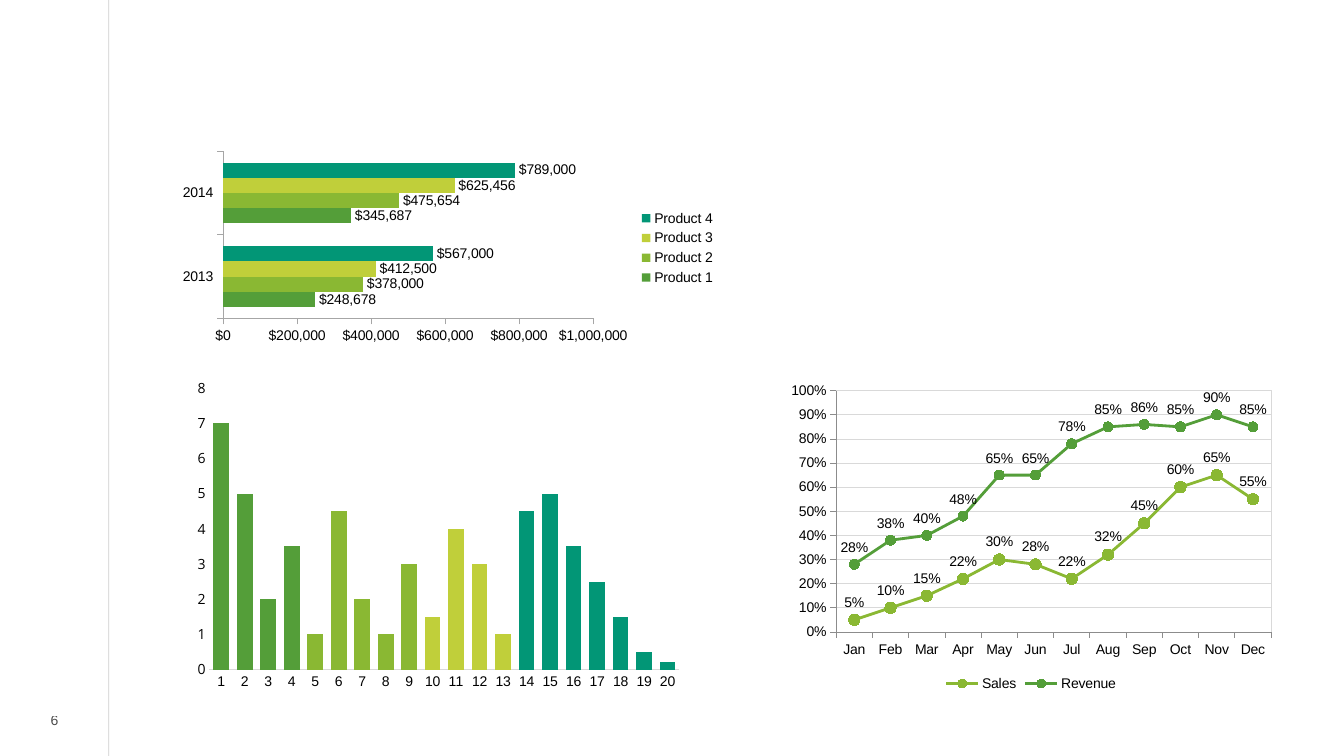
from lxml import etree
from pptx import Presentation
from pptx import util as u
from pptx.chart.data import CategoryChartData
from pptx.dml.color import RGBColor
from pptx.enum import chart as ch, shapes, text
from pptx.oxml import parse_xml
from pptx.oxml.ns import nsdecls, qn

GREEN, LEAF, LIME, TEAL = "549E39", "8AB833", "C0CF3A", "029676"
BLACK, PALE, GREY, DARK = "000000", "D9D9D9", "A6A6A6", "8C8C8C"
FONT, SIZE = "Arial", 10
PAGE_NUMBER = "6"

RANKING = {
    "kind": ch.XL_CHART_TYPE.COLUMN_CLUSTERED,
    "at": (135.36, 265.68, 357.12, 231.12),
    "plot": (0.04, 0.05, 0.94, 0.87),
    "categories": [str(n) for n in range(1, 21)],
    "series": [("Series 1", GREEN, [7, 5, 2, 3.5, 1, 4.5, 2, 1, 3, 1.5,
                                    4, 3, 1, 4.5, 5, 3.5, 2.5, 1.5, 0.5, 0.2])],
    "scale": (8, 1), "format": "General",
}
RANKING_GROUPS = [(GREEN, 4), (LEAF, 5), (LIME, 4), (TEAL, 7)]

PRODUCTS = {
    "kind": ch.XL_CHART_TYPE.BAR_CLUSTERED,
    "at": (123.84, 105.12, 394.56, 144),
    "plot": (0.09, 0.02, 0.67, 0.83),
    "categories": ["2013", "2014"],
    "series": [
        ("Product 1", GREEN, [248678, 345687]),
        ("Product 2", LEAF, [378000, 475654]),
        ("Product 3", LIME, [412500, 625456]),
        ("Product 4", TEAL, [567000, 789000]),
    ],
    "scale": (1000000, 200000), "format": '"$"#,##0',
}

MONTHLY = {
    "kind": ch.XL_CHART_TYPE.LINE_MARKERS,
    "at": (558, 270, 357.12, 226.8),
    "plot": (0.11, 0.04, 0.87, 0.76),
    "categories": ["Jan", "Feb", "Mar", "Apr", "May", "Jun",
                   "Jul", "Aug", "Sep", "Oct", "Nov", "Dec"],
    "series": [
        ("Sales", LEAF, [0.05, 0.1, 0.15, 0.22, 0.3, 0.28,
                         0.22, 0.32, 0.45, 0.6, 0.65, 0.55]),
        ("Revenue", GREEN, [0.28, 0.38, 0.4, 0.48, 0.65, 0.65,
                            0.78, 0.85, 0.86, 0.85, 0.9, 0.85]),
    ],
    "scale": (1, 0.1), "format": "0%",
}
MARKER_SIZES = [8, 7]


def paint(color_format, color, opacity=None):
    color_format.rgb = RGBColor.from_string(color)
    if opacity:
        # python-pptx has no public access to transparency
        srgb = color_format._xFill.find(qn("a:srgbClr"))
        etree.SubElement(srgb, qn("a:alpha"), val=str(opacity * 1000))


def fill(target, color):
    target.fill.solid()
    paint(target.fill.fore_color, color)


def stroke(line, color, width):
    line.fill.solid()
    paint(line.fill.fore_color, color)
    line.width = u.Pt(width)


def style_font(font, name=FONT):
    font.name, font.size = name, u.Pt(SIZE)
    paint(font.color, BLACK)


def place_plot(chart, plot):
    """Fix the inner plot area, given as shares of the chart frame."""
    area = chart.element.find(".//" + qn("c:plotArea"))
    for layout in area.findall(qn("c:layout")):
        area.remove(layout)
    sides = "".join(f'<c:{side} val="{share}"/>' for side, share in zip("xywh", plot))
    area.insert(0, parse_xml(
        f'<c:layout {nsdecls("c")}><c:manualLayout><c:layoutTarget val="inner"/>'
        f'<c:xMode val="edge"/><c:yMode val="edge"/>{sides}</c:manualLayout></c:layout>'))
    return area


def add_chart(slide, content):
    data = CategoryChartData(number_format=content["format"])
    data.categories = content["categories"]
    for name, _, values in content["series"]:
        data.add_series(name, values)
    box = [u.Pt(length) for length in content["at"]]
    chart = slide.shapes.add_chart(content["kind"], *box, data).chart
    chart.has_title = chart.has_legend = False
    style_font(chart.font)
    place_plot(chart, content["plot"])
    chart.plots[0].vary_by_categories = False
    value_axis = chart.value_axis
    value_axis.minimum_scale = 0
    value_axis.maximum_scale, value_axis.major_unit = content["scale"]
    value_axis.has_major_gridlines = False
    value_axis.tick_labels.number_format = content["format"]
    value_axis.tick_labels.number_format_is_linked = False
    for axis in (chart.category_axis, value_axis):
        style_font(axis.tick_labels.font)
    return chart


def style_axes(chart, color):
    for axis in (chart.category_axis, chart.value_axis):
        axis.major_tick_mark = ch.XL_TICK_MARK.OUTSIDE
        stroke(axis.format.line, color, 0.5)


def add_legend(chart, position):
    chart.has_legend = True
    chart.legend.position = position
    chart.legend.include_in_layout = False
    style_font(chart.legend.font)


def label_values(series, number_format, position):
    labels = series.data_labels
    labels.show_value = True
    labels.number_format, labels.number_format_is_linked = number_format, False
    labels.position = position
    style_font(labels.font)


def add_ranking(slide):
    chart = add_chart(slide, RANKING)
    style_font(chart.font, "Open Sans")
    style_font(chart.value_axis.tick_labels.font, "Open Sans")
    for axis in (chart.category_axis, chart.value_axis):
        axis.major_tick_mark = ch.XL_TICK_MARK.NONE
    stroke(chart.category_axis.format.line, PALE, 0.75)
    chart.value_axis.format.line.fill.background()
    plot = chart.plots[0]
    plot.gap_width, plot.overlap = 50, -27
    colors = [color for color, count in RANKING_GROUPS for _ in range(count)]
    for index, color in enumerate(colors):
        fill(plot.series[0].points[index].format, color)


def add_products(slide):
    chart = add_chart(slide, PRODUCTS)
    style_axes(chart, GREY)
    add_legend(chart, ch.XL_LEGEND_POSITION.RIGHT)
    chart.plots[0].gap_width = 150
    for series, (_, color, _) in zip(chart.plots[0].series, PRODUCTS["series"]):
        fill(series.format, color)
        label_values(series, PRODUCTS["format"], ch.XL_LABEL_POSITION.OUTSIDE_END)


def add_monthly(slide):
    chart = add_chart(slide, MONTHLY)
    style_axes(chart, DARK)
    add_legend(chart, ch.XL_LEGEND_POSITION.BOTTOM)
    chart.value_axis.has_major_gridlines = True
    stroke(chart.value_axis.major_gridlines.format.line, PALE, 0.5)
    chart.element.find(".//" + qn("c:plotArea")).append(parse_xml(
        f'<c:spPr {nsdecls("c", "a")}><a:noFill/><a:ln w="6350"><a:solidFill>'
        f'<a:srgbClr val="{PALE}"/></a:solidFill></a:ln></c:spPr>'))
    for series, (_, color, _), size in zip(
            chart.plots[0].series, MONTHLY["series"], MARKER_SIZES):
        series.smooth = False
        stroke(series.format.line, color, 2)
        series.marker.style, series.marker.size = ch.XL_MARKER_STYLE.CIRCLE, size
        fill(series.marker.format, color)
        stroke(series.marker.format.line, color, 0.75)
        label_values(series, MONTHLY["format"], ch.XL_LABEL_POSITION.ABOVE)


def add_margin(slide):
    """Draw the side rule and the page number beside it."""
    rule = slide.shapes.add_connector(
        shapes.MSO_CONNECTOR.STRAIGHT, u.Pt(77.76), 0, u.Pt(77.76), u.Pt(540))
    stroke(rule.line, BLACK, 0.5)
    paint(rule.line.fill.fore_color, BLACK, 20)
    etree.SubElement(rule.element.spPr, qn("a:effectLst"))
    number = slide.shapes.add_textbox(u.Pt(18.72), u.Pt(505.44), u.Pt(40.32), u.Pt(18))
    frame = number.text_frame
    frame.margin_left = frame.margin_right = frame.margin_top = frame.margin_bottom = 0
    frame.word_wrap = True
    frame.vertical_anchor = text.MSO_ANCHOR.MIDDLE
    frame.text = PAGE_NUMBER
    frame.paragraphs[0].alignment = text.PP_ALIGN.CENTER
    font = frame.paragraphs[0].runs[0].font
    font.name, font.size = FONT, u.Pt(SIZE)
    font.fill.solid()
    paint(font.fill.fore_color, BLACK, 70)


def main():
    deck = Presentation()
    deck.slide_width, deck.slide_height = u.Pt(960), u.Pt(540)
    slide = deck.slides.add_slide(deck.slide_layouts[6])
    add_margin(slide)
    add_ranking(slide)
    add_products(slide)
    add_monthly(slide)
    deck.save("out.pptx")


if __name__ == "__main__":
    main()
